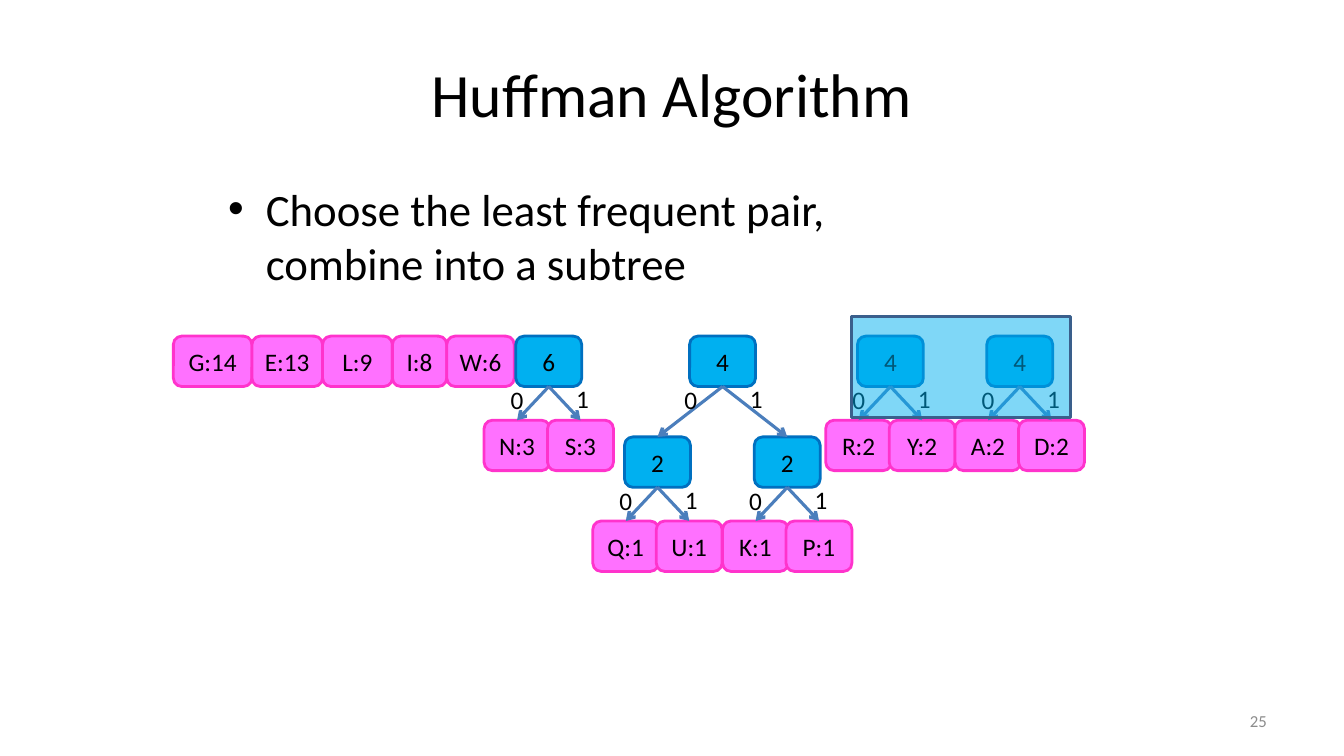
from lxml import etree
from pptx import Presentation
from pptx.dml.color import RGBColor
from pptx.enum.shapes import MSO_CONNECTOR, MSO_SHAPE
from pptx.enum.text import MSO_ANCHOR, MSO_AUTO_SIZE, PP_ALIGN
from pptx.oxml.ns import qn
from pptx.util import Cm, Pt

ROUNDED, RECTANGLE = MSO_SHAPE.ROUNDED_RECTANGLE, MSO_SHAPE.RECTANGLE
STRAIGHT = MSO_CONNECTOR.STRAIGHT
MIDDLE, TOP = MSO_ANCHOR.MIDDLE, MSO_ANCHOR.TOP
LEFT, CENTER, RIGHT = PP_ALIGN.LEFT, PP_ALIGN.CENTER, PP_ALIGN.RIGHT

BLACK, GREY = "000000", "8C8C8C"
LEAF_COLORS = ("FF71FF", "FF33CC")
SUBTREE_COLORS = ("00B0F0", "0070C0")
ARROW_COLOR = "4B7EBC"
NODE_WIDTH, NODE_HEIGHT = 1.66, 1.27
ROW_TOP = 8.47

deck = Presentation()
deck.slide_width, deck.slide_height = Cm(33.87), Cm(19.05)
page = deck.slides.add_slide(deck.slide_layouts[5])
shapes = page.shapes


def write(box, text, size=18, color=BLACK, align=CENTER, anchor=MIDDLE, wrap=True):
    """Put one formatted paragraph into a box and return the paragraph."""
    frame = box.text_frame
    frame.word_wrap = wrap
    frame.vertical_anchor = anchor
    para = frame.paragraphs[0]
    para.alignment = align
    span = para.add_run()
    span.text = text
    for name, value in {"name": "Calibri", "size": Pt(size)}.items():
        setattr(span.font, name, value)
    span.font.color.rgb = RGBColor.from_string(color)
    return para


def add_block(left, top, width, height, colors, text="", kind=ROUNDED):
    """Add a filled, outlined shape with centred text."""
    block = shapes.add_shape(kind, Cm(left), Cm(top), Cm(width), Cm(height))
    block.shadow.inherit = False
    fill_color, line_color = colors
    block.fill.solid()
    block.fill.fore_color.rgb = RGBColor.from_string(fill_color)
    block.line.color.rgb = RGBColor.from_string(line_color)
    block.line.width = Pt(2)
    block.text_frame.margin_left = block.text_frame.margin_right = 0
    if text:
        write(block, text)
    return block


# Title
title = shapes.title
for name, value in {"left": 1.69, "top": 0.76, "width": 30.48, "height": 3.18}.items():
    setattr(title, name, Cm(value))
write(title, "Huffman Algorithm", size=44)

# Bullet
body = shapes.add_textbox(Cm(5.5), Cm(4.45), Cm(18.8), Cm(3.18))
bullet = write(body, "Choose the least frequent pair, combine into a subtree",
               size=32, align=LEFT, anchor=TOP)
properties = bullet._p.get_or_add_pPr()
properties.set("marL", str(Cm(0.95)))
properties.set("indent", str(-Cm(0.95)))
etree.SubElement(properties, qn("a:buFont"), typeface="Arial")
etree.SubElement(properties, qn("a:buChar"), char="•")

# Slide number
number = shapes.add_textbox(Cm(24.28), Cm(17.66), Cm(7.9), Cm(1.01))
write(number, "25", size=12, color=GREY, align=RIGHT)

# Letters that are not yet combined
left = 4.37
for text, width in [("G:14", 1.98), ("E:13", 1.78), ("L:9", 1.76), ("I:8", 1.37), ("W:6", 1.7)]:
    add_block(left, ROW_TOP, width, NODE_HEIGHT, LEAF_COLORS, text)
    left += width

# Subtrees: count, centre, top, half the gap between children, drop, children
# A child is a leaf's text or a subtree that has already been drawn.
subtrees = [
    ("2", 16.57, 11.01, 0.8, 2.12, ("Q:1", "U:1")),
    ("2", 19.84, 11.01, 0.8, 2.12, ("K:1", "P:1")),
    ("4", 18.21, ROW_TOP, 1.63, 2.54, None),
    ("4", 22.44, ROW_TOP, 0.8, 2.12, ("R:2", "Y:2")),
    ("4", 25.7, ROW_TOP, 0.8, 2.12, ("A:2", "D:2")),
    ("6", 13.83, ROW_TOP, 0.8, 2.12, ("N:3", "S:3")),
]
roots = []
for count, center, top, spread, drop, leaves in subtrees:
    if leaves:
        children = [
            add_block(center + side * spread - NODE_WIDTH / 2, top + drop,
                      NODE_WIDTH, NODE_HEIGHT, LEAF_COLORS, leaf)
            for side, leaf in zip((-1, 1), leaves)
        ]
    else:
        children = roots[-2:]
    root = add_block(center - NODE_WIDTH / 2, top, NODE_WIDTH, NODE_HEIGHT,
                     SUBTREE_COLORS, count)
    roots.append(root)

    # Arrows to both children
    for child in children:
        arrow = shapes.add_connector(STRAIGHT, 0, 0, 0, 0)
        arrow.begin_connect(root, 2)
        arrow.end_connect(child, 0)
        arrow.line.color.rgb = RGBColor.from_string(ARROW_COLOR)
        arrow.line.width = Pt(2.25)
        etree.SubElement(arrow.line._get_or_add_ln(), qn("a:tailEnd"), type="arrow")
        etree.SubElement(arrow._element.spPr, qn("a:effectLst"))

    # Bits on the two branches
    for bit, shift, fall in [("0", -1.21, 1.09), ("1", 0.44, 1.07)]:
        label = shapes.add_textbox(Cm(center + shift), Cm(top + fall), Cm(0.84), Cm(1.02))
        write(label, bit, align=LEFT, anchor=TOP, wrap=False)
        label.text_frame.auto_size = MSO_AUTO_SIZE.SHAPE_TO_FIT_TEXT

# Half-transparent highlight over the next pair
highlight = add_block(21.46, 7.98, 5.51, 2.54, ("00B0F0", "3A5F8C"), kind=RECTANGLE)
fill_element = highlight._element.spPr.find(qn("a:solidFill"))
etree.SubElement(fill_element[0], qn("a:alpha"), val="50000")

deck.save("out.pptx")
